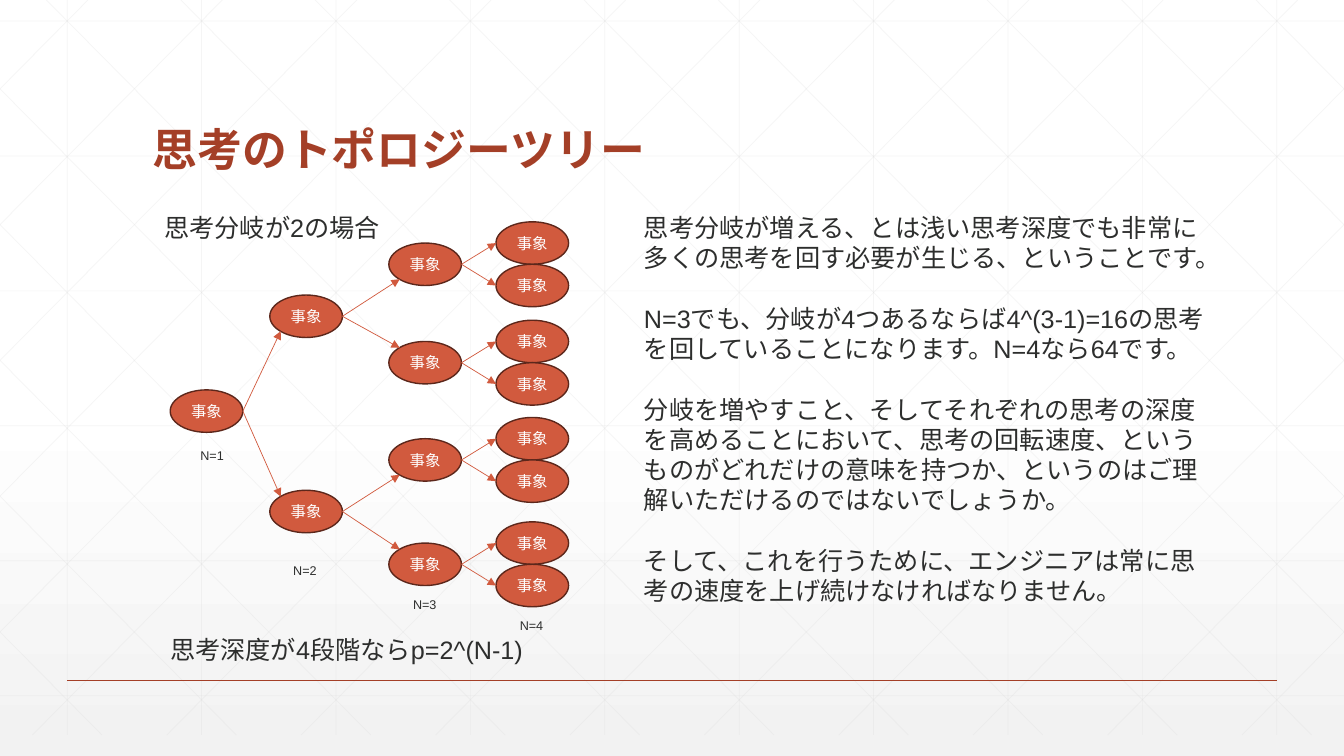
from dataclasses import dataclass
from typing import NamedTuple

import pptx
import pptx.dml.color
import pptx.enum.dml
import pptx.enum.shapes
import pptx.enum.text
import pptx.oxml.ns
import pptx.oxml.xmlchemy
import pptx.shapes.connector
import pptx.slide
import pptx.text.text
import pptx.util
from lxml import etree

Cm = pptx.util.Cm
Anchor = pptx.enum.text.MSO_ANCHOR
Align = pptx.enum.text.PP_ALIGN


@dataclass(frozen=True)
class Theme:
    latin: str = "Arial"
    japanese: str = "Noto Sans CJK JP"
    text: str = "2D2E2D"
    heading: str = "A43F27"
    node: str = "D15A3E"
    node_edge: str = "5C271B"
    white: str = "FFFFFF"
    shade: str = "F2F2F2"
    grid: str = "D9D9D9"
    title_size: float = 32
    body_size: float = 18
    node_size: float = 11
    label_size: float = 9
    paragraph_gap: float = 21.6


class Point(NamedTuple):
    x: float
    y: float


@dataclass(frozen=True)
class Level:
    left: float
    centres: list[float]
    label: str
    label_at: Point


@dataclass(frozen=True)
class Passage:
    left: float
    top: float
    width: float
    height: float
    paragraphs: list[str]
    size: float
    wrap: bool = True


THEME = Theme()
WIDTH, HEIGHT = 33.87, 19.05
GRID_BOTTOM, GRID_STEP = 18.52, 3.387
NODE_WIDTH, NODE_HEIGHT = 1.83, 1.07
DIAGONAL = 0.35

BRANCHES = [6.66, 9.14, 11.59, 14.22]
LEAVES = [y + side * NODE_HEIGHT / 2 for y in BRANCHES for side in (-1, 1)]
LEVELS = [
    Level(4.29, [10.36], "N=1", Point(4.8, 11.15)),
    Level(6.8, [7.97, 12.89], "N=2", Point(7.14, 14.05)),
    Level(9.8, BRANCHES, "N=3", Point(10.16, 14.91)),
    Level(12.5, LEAVES, "N=4", Point(12.85, 15.44)),
]

PASSAGES = [
    Passage(3.89, 5.23, 5.99, 1.02, ["思考分岐が2の場合"], THEME.body_size),
    Passage(4.04, 15.86, 20.37, 1.02, ["思考深度が4段階ならp=2^(N-1)"], THEME.body_size),
    Passage(15.98, 5.23, 14.76, 10.26, [
        "思考分岐が増える、とは浅い思考深度でも非常に多くの思考を回す必要が生じる、ということです。",
        "N=3でも、分岐が4つあるならば4^(3-1)=16の思考を回していることになります。N=4なら64です。",
        "分岐を増やすこと、そしてそれぞれの思考の深度を高めることにおいて、思考の回転速度、というものがどれだけの意味を持つか、というのはご理解いただけるのではないでしょうか。",
        "そして、これを行うために、エンジニアは常に思考の速度を上げ続けなければなりません。",
    ], THEME.body_size),
] + [
    Passage(level.label_at.x, level.label_at.y, 1.12, 0.64, [level.label], THEME.label_size, wrap=False)
    for level in LEVELS
]


def rgb(code: str) -> pptx.dml.color.RGBColor:
    return pptx.dml.color.RGBColor.from_string(code)


def add_child(parent: pptx.oxml.xmlchemy.BaseOxmlElement, tag: str, **attributes: str) -> None:
    etree.SubElement(parent, pptx.oxml.ns.qn(tag), attributes)


def style(paragraph: pptx.text.text._Paragraph, size: float, colour: str, latin: str = THEME.latin) -> None:
    font = paragraph.font
    font.size = pptx.util.Pt(size)
    font.color.rgb = rgb(colour)
    font.name = latin
    add_child(paragraph._p.pPr.defRPr, "a:ea", typeface=THEME.japanese)


def draw_line(slide: pptx.slide.Slide, start: Point, end: Point, colour: str,
              weight: float) -> pptx.shapes.connector.Connector:
    line = slide.shapes.add_connector(
        pptx.enum.shapes.MSO_CONNECTOR.STRAIGHT, Cm(start.x), Cm(start.y), Cm(end.x), Cm(end.y))
    line.line.color.rgb = rgb(colour)
    line.line.width = pptx.util.Pt(weight)
    add_child(line._element.spPr, "a:effectLst")
    return line


def draw_grid_line(slide: pptx.slide.Slide, start: Point, end: Point) -> None:
    line = draw_line(slide, start, end, THEME.grid, 0.5)
    colour = line.line._ln.find(".//" + pptx.oxml.ns.qn("a:srgbClr"))
    add_child(colour, "a:alpha", val="25000")


def draw_background(slide: pptx.slide.Slide) -> None:
    fill = slide.background.fill
    fill.gradient()
    fill.gradient_angle = 270
    for stop, colour, position in zip(fill.gradient_stops, (THEME.white, THEME.shade), (0.53, 1)):
        stop.color.rgb = rgb(colour)
        stop.position = position
    for column in range(10):
        x = GRID_STEP * (column + 0.5)
        draw_grid_line(slide, Point(x, 0), Point(x, GRID_BOTTOM))
    for row in range(6):
        y = 0.53 + 3.4 * row
        draw_grid_line(slide, Point(0, y), Point(WIDTH, y))
    slope = 0.99
    for index in range(-5, 10):
        crossing = 1.17 + GRID_STEP * index
        top = max(0, -crossing / slope)
        bottom = min(GRID_BOTTOM, (WIDTH - crossing) / slope)
        start = Point(crossing + slope * top, top)
        end = Point(crossing + slope * bottom, bottom)
        draw_grid_line(slide, start, end)
        draw_grid_line(slide, Point(WIDTH - start.x, start.y), Point(WIDTH - end.x, end.y))
    draw_line(slide, Point(1.69, 17.15), Point(32.18, 17.15), THEME.heading, 1)


def draw_title(slide: pptx.slide.Slide) -> None:
    title = slide.shapes.add_textbox(Cm(3.6), Cm(1.4), Cm(26.67), Cm(3.17)).text_frame
    title.word_wrap = True
    title.vertical_anchor = Anchor.BOTTOM
    heading = title.paragraphs[0]
    heading.text = "思考のトポロジーツリー"
    heading.line_spacing = 0.9
    style(heading, THEME.title_size, THEME.heading, THEME.japanese)
    heading.font.bold = True


def draw_passage(slide: pptx.slide.Slide, passage: Passage) -> None:
    frame = slide.shapes.add_textbox(
        Cm(passage.left), Cm(passage.top), Cm(passage.width), Cm(passage.height)).text_frame
    frame.word_wrap = passage.wrap
    for index, text in enumerate(passage.paragraphs):
        paragraph = frame.add_paragraph() if index else frame.paragraphs[0]
        paragraph.text = text
        if index:
            paragraph.space_before = pptx.util.Pt(THEME.paragraph_gap)
        style(paragraph, passage.size, THEME.text)


def draw_event(slide: pptx.slide.Slide, left: float, centre: float) -> None:
    event = slide.shapes.add_shape(
        pptx.enum.shapes.MSO_SHAPE.OVAL, Cm(left), Cm(centre - NODE_HEIGHT / 2),
        Cm(NODE_WIDTH), Cm(NODE_HEIGHT))
    event.shadow.inherit = False
    event.fill.solid()
    event.fill.fore_color.rgb = rgb(THEME.node)
    event.line.color.rgb = rgb(THEME.node_edge)
    event.line.width = pptx.util.Pt(1)
    frame = event.text_frame
    frame.margin_left = frame.margin_right = 0
    frame.vertical_anchor = Anchor.MIDDLE
    caption = frame.paragraphs[0]
    caption.text = "事象"
    caption.alignment = Align.CENTER
    style(caption, THEME.node_size, THEME.white)


def draw_tree(slide: pptx.slide.Slide) -> None:
    for level in LEVELS:
        for centre in level.centres:
            draw_event(slide, level.left, centre)
    for parents, children in zip(LEVELS, LEVELS[1:]):
        at_side = children is LEVELS[-1]
        inset = 0 if at_side else NODE_WIDTH / 2 * (1 - DIAGONAL * 2)
        for index, centre in enumerate(children.centres):
            origin = Point(parents.left + NODE_WIDTH, parents.centres[index // 2])
            toward_parent = 1 if centre < origin.y else -1
            rise = 0 if at_side else toward_parent * NODE_HEIGHT * DIAGONAL
            arrow = draw_line(slide, origin, Point(children.left + inset, centre + rise), THEME.node, 0.5)
            add_child(arrow.line._ln, "a:tailEnd", type="triangle")


def main() -> None:
    deck = pptx.Presentation()
    deck.slide_width, deck.slide_height = Cm(WIDTH), Cm(HEIGHT)
    slide = deck.slides.add_slide(deck.slide_layouts[6])
    draw_background(slide)
    draw_title(slide)
    draw_tree(slide)
    for passage in PASSAGES:
        draw_passage(slide, passage)
    deck.save("out.pptx")


if __name__ == "__main__":
    main()
